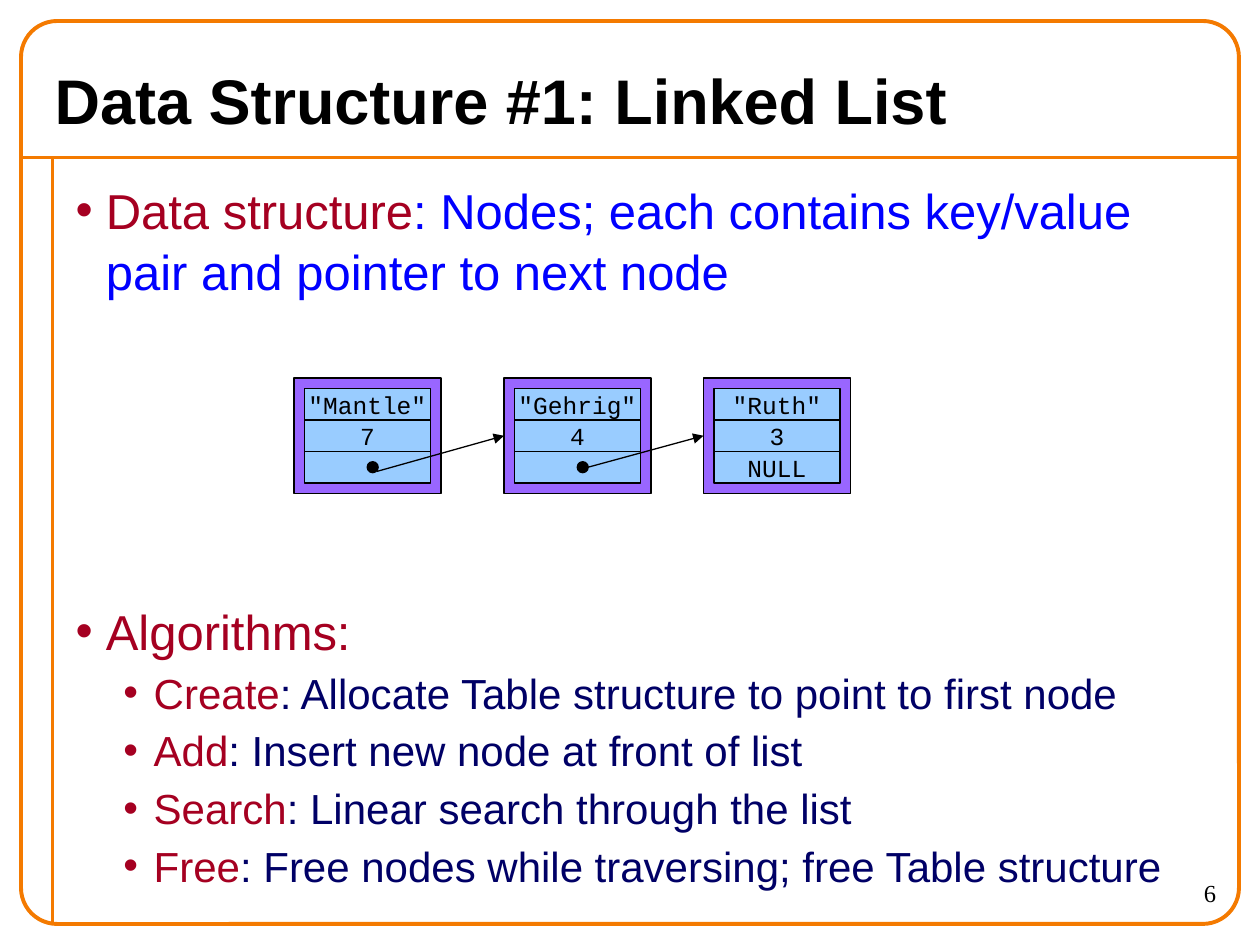
from dataclasses import dataclass

from lxml import etree
from pptx import Presentation
from pptx.dml.color import RGBColor
from pptx.enum.shapes import MSO_CONNECTOR, MSO_SHAPE
from pptx.enum.text import MSO_ANCHOR, MSO_AUTO_SIZE, PP_ALIGN
from pptx.oxml.ns import qn
from pptx.util import Inches, Pt

LINE = MSO_CONNECTOR.STRAIGHT
RECT, ROUND, OVAL = MSO_SHAPE.RECTANGLE, MSO_SHAPE.ROUNDED_RECTANGLE, MSO_SHAPE.OVAL
MIDDLE, TOP = MSO_ANCHOR.MIDDLE, MSO_ANCHOR.TOP
LEFT, CENTER, RIGHT = PP_ALIGN.LEFT, PP_ALIGN.CENTER, PP_ALIGN.RIGHT
FIXED = MSO_AUTO_SIZE.NONE

COLORS = {
    "frame": "F47A00", "ink": "000000", "term": "A50021", "lead": "0000FF",
    "detail": "000066", "node": "9966FF", "cell": "99CCFF",
}
COLS, ROWS = 120, 90  # grid of twelve units to the inch
NODE_TOP = 36


@dataclass
class Node:
    col: int
    cells: tuple[str, str, str]
    tip: tuple[float, float] | None = None  # arrow start, from the node's corner


@dataclass
class Item:
    term: str
    rest: str
    level: int = 1
    before: float = 3


NODES = [
    Node(28, ('"Mantle"', "7", ""), (7.9, 8.9)),
    Node(48, ('"Gehrig"', "4", ""), (8, 8.5)),
    Node(67, ('"Ruth"', "3", "NULL")),
]
ITEMS = [
    Item("Data structure", ": Nodes; each contains key/value pair and pointer to next node", 0, 0),
    Item("Algorithms:", "", 0, 170.5),
    Item("Create", ": Allocate Table structure to point to first node"),
    Item("Add", ": Insert new node at front of list"),
    Item("Search", ": Linear search through the list"),
    Item("Free", ": Free nodes while traversing; free Table structure"),
]
SIZES = (28, 24)
INDENTS = (0.24, 0.62)
HANG = 0.24


def rgb(name: str) -> RGBColor:
    return RGBColor.from_string(COLORS[name])


def grid(*units: float) -> list[int]:
    return [Inches(unit / 12) for unit in units]


def style(font, face: str, size: float, color: str, bold: bool = False) -> None:
    font.name, font.size, font.bold = face, Pt(size), bold
    font.color.rgb = rgb(color)


def place(shape, *units: float) -> None:
    shape.left, shape.top, shape.width, shape.height = grid(*units)


def draw(slide, kind, units: tuple, fill: str | None, line: str = "ink", width: float = 1):
    shape = slide.shapes.add_shape(kind, *grid(*units))
    shape.shadow.inherit = False
    if fill:
        shape.fill.solid()
        shape.fill.fore_color.rgb = rgb(fill)
    else:
        shape.fill.background()
    shape.line.color.rgb = rgb(line)
    shape.line.width = Pt(width)
    return shape


def link(slide, ends: tuple, color: str, width: float):
    line = slide.shapes.add_connector(LINE, *grid(*ends))
    line.line.color.rgb = rgb(color)
    line.line.width = Pt(width)
    etree.SubElement(line._element.spPr, qn("a:effectLst"))
    return line


def add_frame(slide) -> None:
    link(slide, (2, 15, COLS - 2, 15), "frame", 2.25)
    link(slide, (5, 15, 5, ROWS - 2), "frame", 2.25)
    border = draw(slide, ROUND, (2, 2, COLS - 4, ROWS - 4), None, "frame", 2.25)
    border.adjustments[0] = 0.04


def add_title(slide) -> None:
    title = slide.shapes.title
    place(title, 4, 5, 112, 9)
    frame = title.text_frame
    frame.text = "Data Structure #1: Linked List"
    frame.auto_size, frame.vertical_anchor = FIXED, MIDDLE
    para = frame.paragraphs[0]
    para.alignment = LEFT
    style(para.runs[0].font, "Arial", 36, "ink", True)


def add_bullet(para, level: int) -> None:
    props = para._p.get_or_add_pPr()
    props.set("marL", str(Inches(INDENTS[level])))
    props.set("indent", str(-Inches(HANG)))
    color = etree.SubElement(props, qn("a:buClr"))
    etree.SubElement(color, qn("a:srgbClr"), val=COLORS["term"])
    etree.SubElement(props, qn("a:buFont"), typeface="Arial")
    etree.SubElement(props, qn("a:buChar"), char="•")


def add_list(slide) -> None:
    body = slide.placeholders[1]
    place(body, 6, 16, 111, 72)
    frame = body.text_frame
    frame.auto_size, frame.vertical_anchor = FIXED, TOP
    frame.margin_top = Inches(0.08)
    for i, item in enumerate(ITEMS):
        para = frame.add_paragraph() if i else frame.paragraphs[0]
        para.level = item.level
        add_bullet(para, item.level)
        para.alignment = LEFT
        para.space_before = Pt(item.before)
        para.line_spacing = 1.04
        parts = ((item.term, "term"), (item.rest, "detail" if item.level else "lead"))
        for text, color in parts:
            if text:
                run = para.add_run()
                run.text = text
                style(run.font, "Arial", SIZES[item.level], color)


def add_node(slide, node: Node):
    box = draw(slide, RECT, (node.col, NODE_TOP, 14, 11), "node")
    for i, text in enumerate(node.cells):
        cell = draw(slide, RECT, (node.col + 1, NODE_TOP + 1 + 3 * i, 12, 3), "cell")
        if text:
            frame = cell.text_frame
            frame.text = text
            frame.word_wrap, frame.vertical_anchor = False, MIDDLE
            para = frame.paragraphs[0]
            para.alignment = CENTER
            style(para.runs[0].font, "Courier New", 14, "ink")
    if node.tip:
        draw(slide, OVAL, (node.col + 7, NODE_TOP + 8, 1, 1), "ink")
    return box


def add_chain(slide) -> None:
    boxes = [add_node(slide, node) for node in NODES]
    for node, box in zip(NODES, boxes[1:]):
        x, y = node.col + node.tip[0], NODE_TOP + node.tip[1]
        arrow = link(slide, (x, y, x, y), "ink", 0.75)
        arrow.end_connect(box, 1)
        etree.SubElement(arrow.line._get_or_add_ln(), qn("a:tailEnd"), type="triangle")


def add_number(slide) -> None:
    frame = slide.shapes.add_textbox(*grid(105, 83, 12, 5)).text_frame
    frame.word_wrap = True
    frame.text = "6"
    para = frame.paragraphs[0]
    para.alignment = RIGHT
    style(para.runs[0].font, "Times New Roman", 14, "ink")


def main() -> None:
    deck = Presentation()
    deck.slide_width, deck.slide_height = grid(COLS, ROWS)
    slide = deck.slides.add_slide(deck.slide_layouts[1])
    add_frame(slide)
    add_title(slide)
    add_list(slide)
    add_chain(slide)
    add_number(slide)
    deck.save("out.pptx")


if __name__ == "__main__":
    main()
